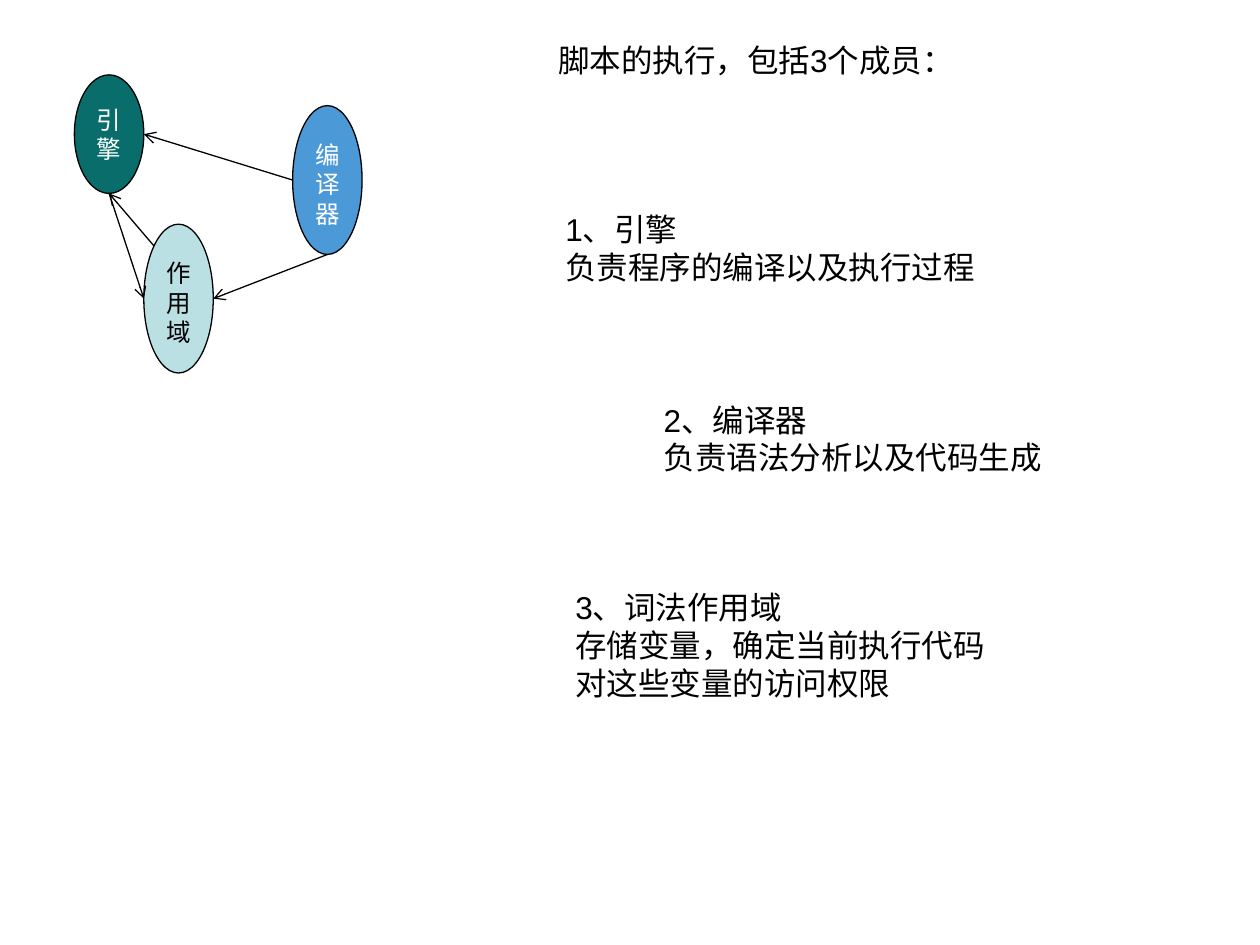
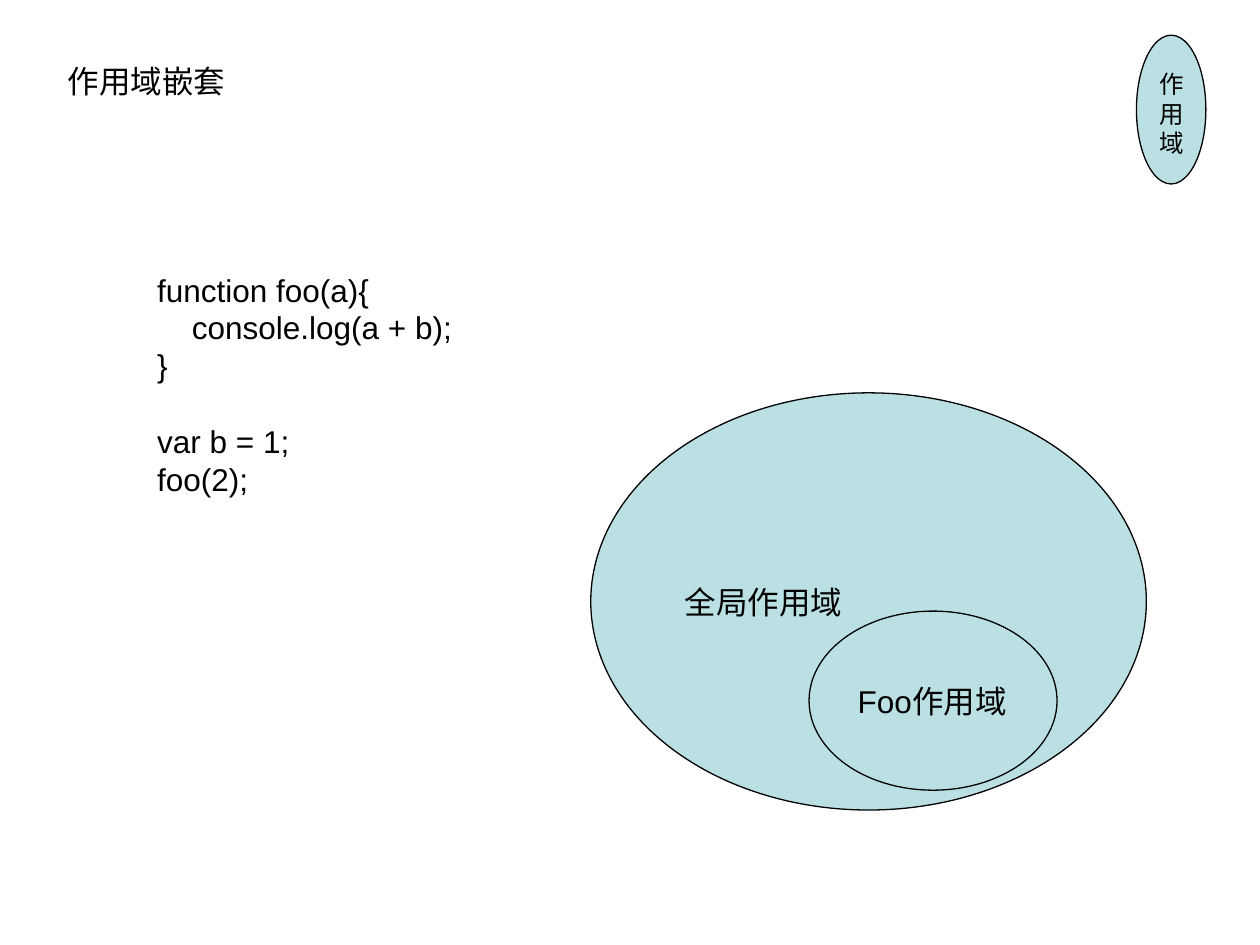
from dataclasses import dataclass
from math import sqrt

from lxml import etree
from pptx import Presentation
from pptx.dml.color import RGBColor
from pptx.enum.shapes import MSO_CONNECTOR, MSO_SHAPE
from pptx.enum.text import MSO_ANCHOR, MSO_AUTO_SIZE, PP_ALIGN
from pptx.oxml.ns import qn
from pptx.slide import Slide
from pptx.text.text import TextFrame
from pptx.util import Cm, Pt

ELLIPSE = MSO_SHAPE.OVAL
STRAIGHT = MSO_CONNECTOR.STRAIGHT
TOP, MIDDLE = MSO_ANCHOR.TOP, MSO_ANCHOR.MIDDLE
LEFT = PP_ALIGN.LEFT
FIT_SHAPE = MSO_AUTO_SIZE.SHAPE_TO_FIT_TEXT

COLORS = {
    "ink": "000000",
    "white": "FFFFFF",
    "engine": "096D6B",
    "compiler": "4C99D8",
    "scope": "BBE0E3",
}
FONT = "Arial"
BODY_SIZE, BADGE_SIZE = 18, 14
LINE_FACTOR = 1.2
LINE_WIDTH = Pt(0.75)
BADGE_WIDTH, BADGE_HEIGHT = 1.4, 3.0
DIAGONAL = 1 / sqrt(2)

Point = tuple[float, float]


@dataclass(frozen=True)
class Line:
    text: str
    indent: float = 0
    lines_before: int = 0


@dataclass(frozen=True)
class TextBlock:
    left: float
    top: float
    width: float
    height: float
    lines: tuple[Line, ...]


@dataclass(frozen=True)
class Oval:
    text: str
    left: float
    top: float
    width: float = BADGE_WIDTH
    height: float = BADGE_HEIGHT
    fill: str = "scope"
    ink: str = "ink"
    size: int = BADGE_SIZE
    anchor: MSO_ANCHOR = TOP
    inset: float = 0.25

    def rim(self, across: float, down: float) -> Point:
        """Point on the outline, from -1 to 1 each way from the centre."""
        return (self.left + self.width * (1 + across) / 2,
                self.top + self.height * (1 + down) / 2)


ENGINE = Oval("引擎", 1.5, 1.51, height=2.39, fill="engine", ink="white")
SCOPE = Oval("作用域", 2.9, 4.52)
COMPILER = Oval("编译器", 5.9, 2.13, fill="compiler", ink="white")
ARROWS = (
    (COMPILER.rim(-1, 0), ENGINE.rim(1, 0)),
    (COMPILER.rim(0, 1), SCOPE.rim(1, 0)),
    (ENGINE.rim(0, 1), SCOPE.rim(-1, 0)),
    (SCOPE.rim(-DIAGONAL, -DIAGONAL), ENGINE.rim(0, 1)),
)
MEMBER_TEXTS = (
    TextBlock(11.0, 0.71, 8.79, 1.02, (Line("脚本的执行，包括3个成员："),)),
    TextBlock(11.15, 4.11, 8.76, 2.54,
              (Line("1、引擎"), Line("负责程序的编译以及执行过程"))),
    TextBlock(13.13, 7.95, 8.13, 2.54,
              (Line("2、编译器"), Line("负责语法分析以及代码生成"))),
    TextBlock(11.35, 11.73, 8.76, 2.54,
              (Line("3、词法作用域"), Line("存储变量，确定当前执行代码"),
               Line("对这些变量的访问权限"))),
)

NESTING_TEXTS = (
    TextBlock(1.12, 1.12, 3.68, 1.02, (Line("作用域嵌套"),)),
    TextBlock(2.92, 5.33, 6.45, 4.83,
              (Line("function foo(a){"),
               Line("console.log(a + b);", indent=0.7),
               Line("}"),
               Line("var b = 1;", lines_before=1),
               Line("foo(2);"))),
)
NESTED_SCOPES = (
    Oval("全局作用域", 11.91, 7.92, 11.2, 8.41,
         size=BODY_SIZE, anchor=MIDDLE, inset=0.13),
    Oval("Foo作用域", 16.31, 12.32, 5.0, 3.61,
         size=BODY_SIZE, anchor=MIDDLE, inset=0.13),
    Oval("作用域", 22.91, 0.71),
)


def color(name: str) -> RGBColor:
    return RGBColor.from_string(COLORS[name])


def write_lines(frame: TextFrame, lines: tuple[Line, ...], size: int, ink: str) -> None:
    pitch = size * LINE_FACTOR
    for index, line in enumerate(lines):
        para = frame.add_paragraph() if index else frame.paragraphs[0]
        para.alignment = LEFT
        para.line_spacing = Pt(pitch)
        para.space_before = Pt(pitch * line.lines_before)
        if line.indent:
            para._p.get_or_add_pPr().set("marL", str(Cm(line.indent)))
        span = para.add_run()
        span.text = line.text
        span.font.name = FONT
        span.font.size = Pt(size)
        span.font.color.rgb = color(ink)


def draw_text(page: Slide, block: TextBlock) -> None:
    box = page.shapes.add_textbox(Cm(block.left), Cm(block.top),
                                  Cm(block.width), Cm(block.height))
    frame = box.text_frame
    frame.word_wrap = False
    frame.auto_size = FIT_SHAPE
    write_lines(frame, block.lines, BODY_SIZE, "ink")


def draw_oval(page: Slide, oval: Oval) -> None:
    shape = page.shapes.add_shape(ELLIPSE, Cm(oval.left), Cm(oval.top),
                                  Cm(oval.width), Cm(oval.height))
    shape.shadow.inherit = False
    shape.fill.solid()
    shape.fill.fore_color.rgb = color(oval.fill)
    shape.line.color.rgb = color("ink")
    shape.line.width = LINE_WIDTH
    frame = shape.text_frame
    frame.word_wrap = True
    frame.vertical_anchor = oval.anchor
    frame.margin_left = frame.margin_right = Cm(0.25)
    frame.margin_top = frame.margin_bottom = Cm(oval.inset)
    write_lines(frame, (Line(oval.text),), oval.size, oval.ink)


def draw_arrow(page: Slide, start: Point, end: Point) -> None:
    arrow = page.shapes.add_connector(STRAIGHT, *map(Cm, start + end))
    arrow.line.color.rgb = color("ink")
    arrow.line.width = LINE_WIDTH
    etree.SubElement(arrow.line._get_or_add_ln(), qn("a:tailEnd"), type="arrow")
    etree.SubElement(arrow._element.spPr, qn("a:effectLst"))


def add_page(deck: Presentation, texts: tuple[TextBlock, ...],
             ovals: tuple[Oval, ...]) -> Slide:
    page = deck.slides.add_slide(deck.slide_layouts[6])
    for block in texts:
        draw_text(page, block)
    for oval in ovals:
        draw_oval(page, oval)
    return page


def main() -> None:
    deck = Presentation()
    deck.slide_width, deck.slide_height = Cm(25.4), Cm(19.05)
    members = add_page(deck, MEMBER_TEXTS, (ENGINE, SCOPE, COMPILER))
    for start, end in ARROWS:
        draw_arrow(members, start, end)
    add_page(deck, NESTING_TEXTS, NESTED_SCOPES)
    deck.save("out.pptx")


if __name__ == "__main__":
    main()
